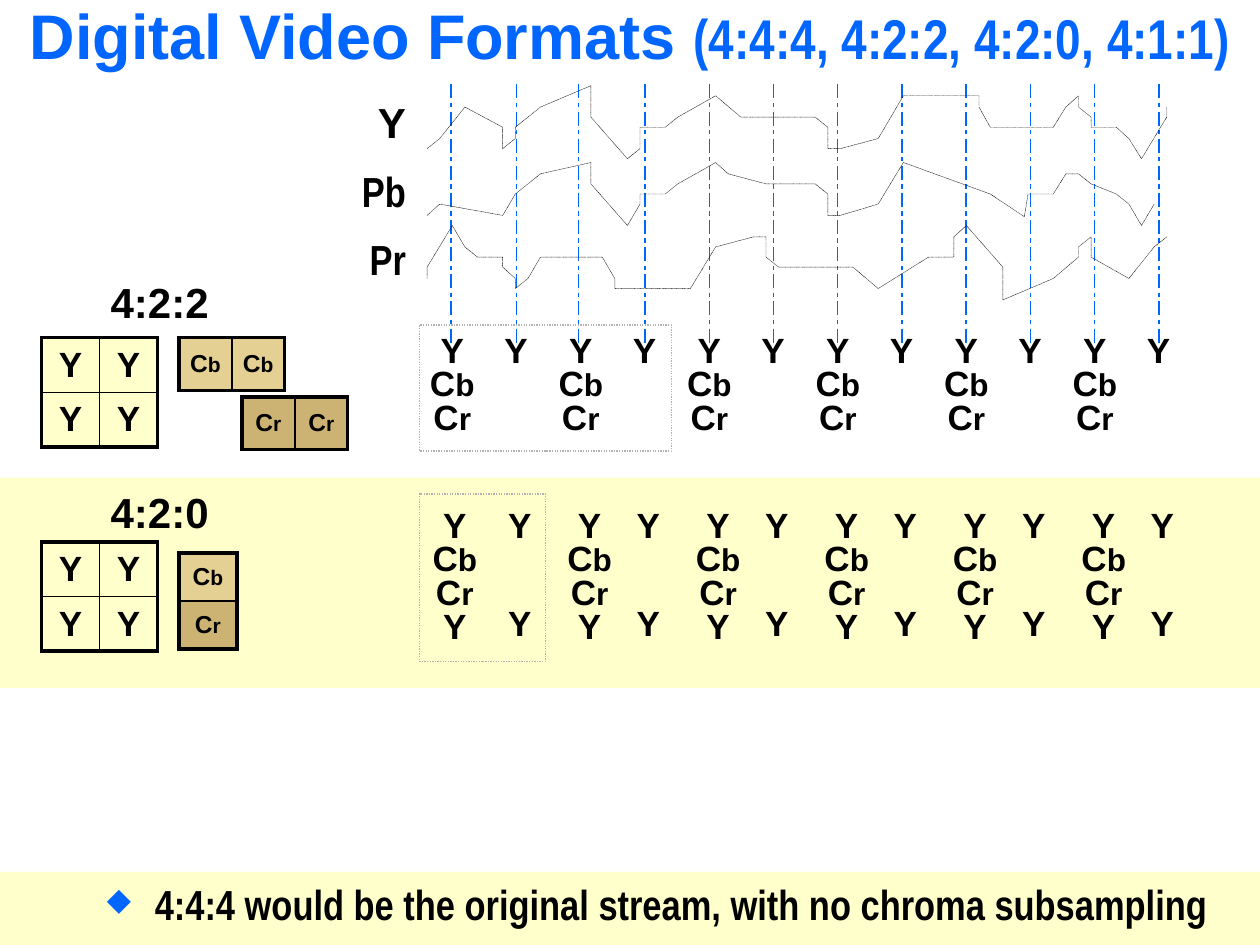
from lxml.etree import SubElement
from pptx import Presentation
from pptx.dml.color import RGBColor
from pptx.enum.dml import MSO_LINE
from pptx.enum.shapes import MSO_SHAPE
from pptx.enum.text import MSO_ANCHOR, MSO_AUTO_SIZE, PP_ALIGN
from pptx.oxml.ns import qn
from pptx.util import Inches, Pt

BLUE, BLACK, GREY = "0066FF", "000000", "B2B2B2"
LUMA, CB_TAN, CR_TAN = "FFFFCC", "E5D093", "CCB374"
NO_TABLE_STYLE = "{2D5ABB26-0587-4C30-8999-92F81FD0307C}"
PITCH = 1.02  # distance between sample pairs

Y_WAVE = [
    (3.39, 1.18), (3.49, 1.1), (3.69, 0.85), (3.99, 1.01), (3.99, 1.18), (4.09, 1.1),
    (4.09, 1.01), (4.29, 0.85), (4.69, 0.68), (4.69, 0.93), (4.98, 1.26), (5.08, 1.18),
    (5.08, 1.01), (5.28, 1.01), (5.38, 0.93), (5.68, 0.76), (5.88, 0.93), (6.47, 0.93),
    (6.57, 1.01), (6.57, 1.18), (6.67, 1.18), (6.97, 1.1), (7.17, 0.76), (7.77, 0.76),
    (7.77, 0.85), (7.86, 1.01), (8.36, 1.01), (8.46, 0.85), (8.56, 0.76), (8.56, 0.85),
    (8.66, 0.93), (8.66, 1.01), (8.86, 1.01), (8.96, 1.1), (9.06, 1.26), (9.26, 0.93),
    (9.26, 0.85)]
PB_WAVE = [
    (3.39, 1.71), (3.49, 1.62), (3.99, 1.71), (4.09, 1.54), (4.29, 1.38), (4.69, 1.29),
    (4.69, 1.46), (4.98, 1.79), (5.08, 1.62), (5.08, 1.54), (5.28, 1.54), (5.38, 1.46),
    (5.68, 1.29), (5.78, 1.38), (6.08, 1.46), (6.47, 1.46), (6.57, 1.54), (6.57, 1.71),
    (6.67, 1.71), (6.97, 1.62), (7.17, 1.29), (7.86, 1.54), (8.13, 1.72), (8.16, 1.54),
    (8.36, 1.54), (8.46, 1.38), (8.56, 1.38), (8.66, 1.46), (8.86, 1.54), (8.96, 1.62),
    (9.06, 1.79), (9.16, 1.62)]
PR_WAVE = [
    (3.39, 2.21), (3.39, 2.12), (3.59, 1.79), (3.69, 1.96), (3.79, 2.04), (3.99, 2.04),
    (3.99, 2.12), (4.09, 2.21), (4.09, 2.29), (4.19, 2.21), (4.29, 2.04), (4.78, 2.04),
    (4.88, 2.21), (4.88, 2.29), (5.48, 2.29), (5.68, 1.96), (5.98, 1.88), (6.08, 1.88),
    (6.08, 2.04), (6.18, 2.12), (6.77, 2.12), (6.97, 2.29), (7.37, 2.04), (7.57, 2.04),
    (7.57, 1.88), (7.67, 1.79), (7.96, 2.12), (7.96, 2.38), (8.36, 2.21), (8.56, 2.04),
    (8.56, 1.96), (8.66, 1.88), (8.66, 2.04), (8.96, 2.21), (9.16, 1.96), (9.26, 1.88)]


def color(hex_value):
    return RGBColor.from_string(hex_value)


def apply_format(target, values):
    for name, value in values.items():
        setattr(target, name, value)


def sample_runs(letters, size):
    """Capital at full size, the letter after it two points smaller."""
    return [(c, size if c.isupper() else size - 2) for c in letters]


def add_runs(paragraph, runs, font="Arial", ink=BLACK):
    for text, size in runs:
        run = paragraph.add_run()
        run.text = text
        apply_format(run.font, {"name": font, "size": Pt(size), "bold": True})
        run.font.color.rgb = color(ink)


def add_text(slide, box, lines, font="Arial", align=PP_ALIGN.LEFT, spacing=0.8,
             wrap=False, ink=BLACK):
    frame = slide.shapes.add_textbox(*map(Inches, box)).text_frame
    apply_format(frame, {"word_wrap": wrap, "auto_size": MSO_AUTO_SIZE.SHAPE_TO_FIT_TEXT})
    for number, runs in enumerate(lines):
        paragraph = frame.add_paragraph() if number else frame.paragraphs[0]
        apply_format(paragraph, {"alignment": align, "line_spacing": spacing})
        add_runs(paragraph, runs, font, ink)
    return frame


def add_rect(slide, box, fill=None):
    """Filled band, or a dotted frame when there is no fill."""
    rect = slide.shapes.add_shape(MSO_SHAPE.RECTANGLE, *map(Inches, box))
    rect.shadow.inherit = False
    if fill:
        rect.fill.solid()
        rect.fill.fore_color.rgb = color(fill)
        rect.line.fill.background()
    else:
        rect.fill.background()
        set_dotted(rect.line, GREY, 0.75)


def set_dotted(line, ink, width):
    line.color.rgb = color(ink)
    apply_format(line, {"width": Pt(width), "dash_style": MSO_LINE.ROUND_DOT})


def add_wave(slide, points):
    corners = [(Inches(x), Inches(y)) for x, y in points]
    builder = slide.shapes.build_freeform(*corners[0])
    builder.add_line_segments(corners[1:], close=False)
    wave = builder.convert_to_shape()
    wave.shadow.inherit = False
    wave.fill.background()
    set_dotted(wave.line, BLACK, 0.25)


def add_border(cell, side, ink, width, dash="solid"):
    edge = SubElement(cell._tc.get_or_add_tcPr(), qn(f"a:ln{side}"), w=str(Pt(width)))
    fill = SubElement(edge, qn("a:solidFill"))
    SubElement(fill, qn("a:srgbClr"), val=ink)
    SubElement(edge, qn("a:prstDash"), val=dash)


def add_plain_table(slide, left, top, widths, heights):
    table = slide.shapes.add_table(
        len(heights), len(widths), Inches(left), Inches(top),
        Inches(sum(widths)), Inches(sum(heights))).table
    apply_format(table, {"first_row": False, "horz_banding": False})
    table._tbl.tblPr.find(qn("a:tableStyleId")).text = NO_TABLE_STYLE
    for column, width in zip(table.columns, widths):
        column.width = Inches(width)
    for row, height in zip(table.rows, heights):
        row.height = Inches(height)
    return table


def add_block(slide, left, top, width, height, samples, fills, size, side_margin=0.1):
    """Grid of samples with a heavy outline and thin inner lines; one fill per row."""
    last_row, last_col = len(samples) - 1, len(samples[0]) - 1
    table = add_plain_table(slide, left, top, [width] * (last_col + 1),
                            [height] * (last_row + 1))
    for r, row in enumerate(samples):
        for c, letters in enumerate(row):
            cell = table.cell(r, c)
            outer = {"L": c == 0, "R": c == last_col, "T": r == 0, "B": r == last_row}
            for side, is_outer in outer.items():
                add_border(cell, side, BLACK, 2.25 if is_outer else 1)
            cell.fill.solid()
            cell.fill.fore_color.rgb = color(fills[r])
            apply_format(cell, {"vertical_anchor": MSO_ANCHOR.MIDDLE,
                                "margin_left": Inches(side_margin),
                                "margin_right": Inches(side_margin)})
            paragraph = cell.text_frame.paragraphs[0]
            paragraph.alignment = PP_ALIGN.CENTER
            add_runs(paragraph, sample_runs(letters, size))


def add_sampling_lines(slide):
    widths = [0.5, 0.52, 0.49, 0.53] + [0.51] * 9
    table = add_plain_table(slide, 3.08, 0.67, widths, [0.52] * 4)
    for row in table.rows:
        for c, cell in enumerate(row.cells):
            if c > 0:
                add_border(cell, "L", BLUE, 1, "sysDashDot")
            if c < len(widths) - 1:
                add_border(cell, "R", BLUE, 1, "sysDashDot")
            cell.fill.background()


def add_samples(slide, lefts, top, width, height, letters):
    lines = [sample_runs(sample, 20) for sample in letters]
    return [add_text(slide, (left, top, width, height), lines, align=PP_ALIGN.CENTER)
            for left in lefts]


def add_note(slide, text):
    frame = add_text(slide, (0.75, 7, 9.08, 0.42), [[(text, 24)]], "Arial Narrow", wrap=True)
    props = frame.paragraphs[0]._p.get_or_add_pPr()
    props.set("marL", str(Inches(0.38)))
    props.set("indent", str(-Inches(0.38)))
    SubElement(SubElement(props, qn("a:buClr")), qn("a:srgbClr"), val=BLUE)
    SubElement(props, qn("a:buSzPct"), val="75000")
    SubElement(props, qn("a:buChar"), char="◆")


def main():
    deck = Presentation()
    apply_format(deck, {"slide_width": Inches(10), "slide_height": Inches(7.5)})
    slide = deck.slides.add_slide(deck.slide_layouts[6])

    # Background bands, sampling grid and title
    add_rect(slide, (0, 6.92, 10, 0.58), LUMA)
    add_rect(slide, (0, 3.79, 10, 1.67), LUMA)
    add_sampling_lines(slide)
    title = add_text(slide, (0, 0.06, 10, 0.67), [[("Digital Video Formats ", 36)]],
                     align=PP_ALIGN.CENTER, spacing=0.75, wrap=True, ink=BLUE)
    apply_format(title, {"auto_size": MSO_AUTO_SIZE.NONE,
                         "margin_left": Inches(0.05), "margin_right": Inches(0.05)})
    add_runs(title.paragraphs[0], [("(4:4:4, 4:2:2, 4:2:0, 4:1:1)", 32)], "Arial Narrow", BLUE)

    # Component signals
    for name, left, top, width, font, points in [
            ("Y", 2.9, 0.79, 0.42, "Arial", Y_WAVE),
            ("Pb", 2.77, 1.34, 0.55, "Arial Narrow", PB_WAVE),
            ("Pr", 2.83, 1.88, 0.49, "Arial Narrow", PR_WAVE)]:
        add_text(slide, (left, top, width, 0.42), [[(name, 24)]], font, PP_ALIGN.RIGHT)
        add_wave(slide, points)

    # Format headings and pixel blocks
    for name, top, block_top, row_height in [("4:2:2", 2.22, 2.68, 0.41),
                                             ("4:2:0", 3.89, 4.3, 0.43)]:
        add_text(slide, (0.78, top, 0.98, 0.42), [[(name, 24)]])
        add_block(slide, 0.33, block_top, 0.46, row_height, [["Y", "Y"]] * 2, [LUMA] * 2, 20)
    add_block(slide, 1.42, 2.68, 0.42, 0.42, [["Cb", "Cb"]], [CB_TAN], 14, 0)
    add_block(slide, 1.92, 3.15, 0.42, 0.42, [["Cr", "Cr"]], [CR_TAN], 14, 0)
    add_block(slide, 1.42, 4.39, 0.46, 0.38, [["Cb"], ["Cr"]], [CB_TAN, CR_TAN], 14)

    # 4:2:2 sample stream
    steps = [PITCH * i for i in range(6)]
    add_samples(slide, [3.31 + s for s in steps], 2.62, 0.56, 0.9, ["Y", "Cb", "Cr"])
    add_samples(slide, [3.9 + s for s in steps], 2.62, 0.39, 0.37, ["Y"])
    add_rect(slide, (3.33, 2.58, 2, 1))

    # 4:2:0 sample stream
    full_lefts = [3.33] + [4.4 + s for s in steps[:5]]
    add_samples(slide, full_lefts, 4.01, 0.56, 1.17, ["Y", "Cb", "Cr", "Y"])
    for frame in add_samples(slide, [3.93 + s for s in steps], 4.01, 0.39, 1.17, ["Y", "Y"]):
        frame.paragraphs[1].space_before = Pt(37)  # height of the two chroma lines
    add_rect(slide, (3.33, 3.92, 1, 1.33))

    add_note(slide, "4:4:4 would be the original stream, with no chroma subsampling")
    deck.save("out.pptx")


if __name__ == "__main__":
    main()
